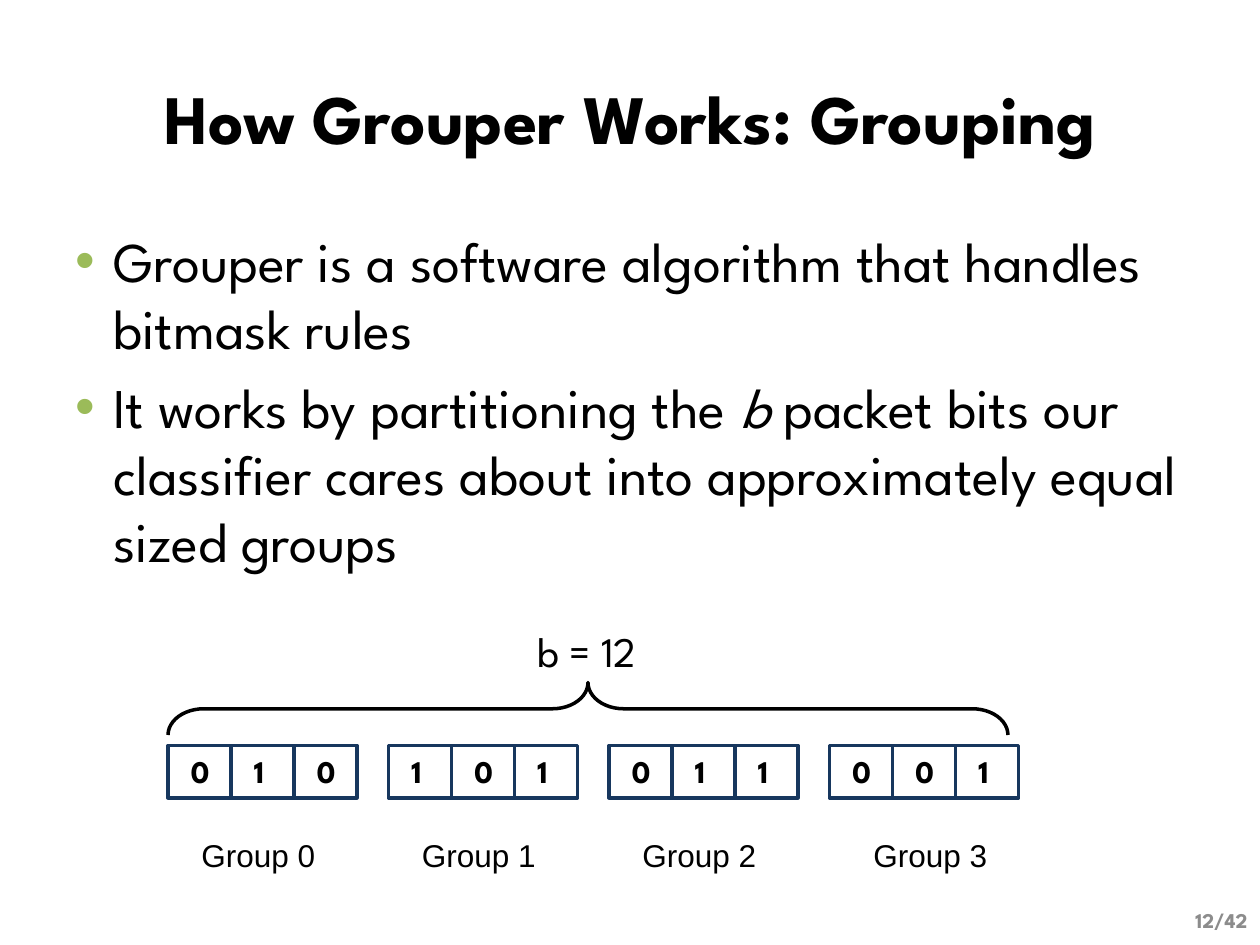
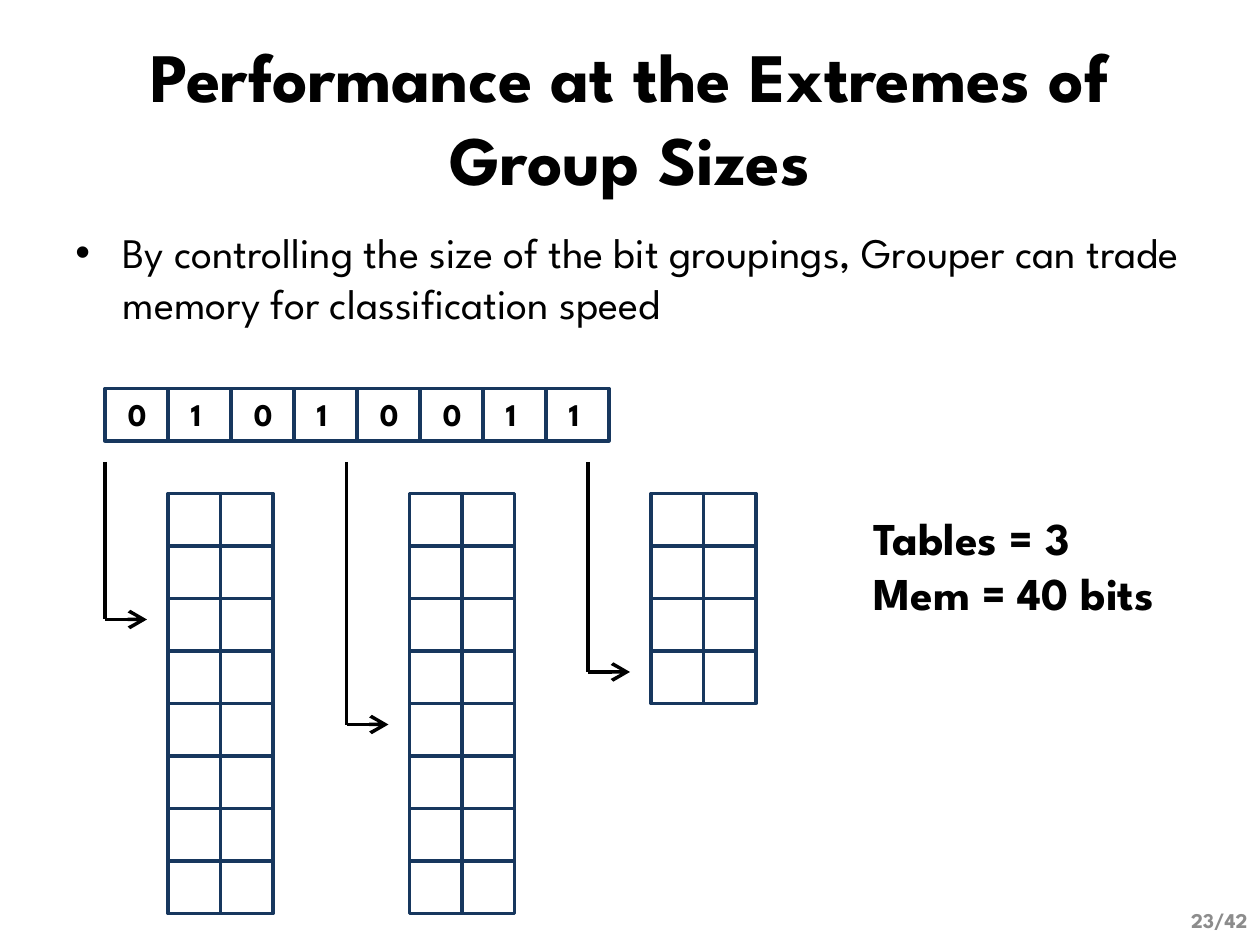
"""Build two slides on how Grouper splits packet bits into groups."""
from typing import NamedTuple

from lxml import etree
from pptx import Presentation
from pptx.dml.color import RGBColor
from pptx.enum.shapes import MSO_CONNECTOR, MSO_SHAPE
from pptx.enum.text import MSO_ANCHOR, MSO_AUTO_SIZE, PP_ALIGN
from pptx.oxml.ns import qn
from pptx.util import Pt

RECTANGLE = MSO_SHAPE.RECTANGLE
BRACE = MSO_SHAPE.RIGHT_BRACE
STRAIGHT = MSO_CONNECTOR.STRAIGHT
TOP, MIDDLE = MSO_ANCHOR.TOP, MSO_ANCHOR.MIDDLE
LEFT, CENTER, RIGHT = PP_ALIGN.LEFT, PP_ALIGN.CENTER, PP_ALIGN.RIGHT
NO_AUTOFIT = MSO_AUTO_SIZE.NONE

COLORS = {
    "text": "000000",
    "paper": "FFFFFF",
    "cell_border": "17375E",
    "bullet": "9BBB59",
    "page_number": "8C8C8C",
}
MAIN_FONT = "League Spartan"
LABEL_FONT = "Arial"
LINE_WIDTH = 2
BIT_WIDTH = 36
CELL_SIZE = 30


class Box(NamedTuple):
    left: float
    top: float
    width: float
    height: float

    def lengths(self) -> list:
        return [Pt(value) for value in self]


class Style(NamedTuple):
    size: float
    bold: bool = False
    color: str = "text"
    font: str = MAIN_FONT
    align: PP_ALIGN = LEFT


class Bullets(NamedTuple):
    size: float
    indent: float
    color: str


class Lookup(NamedTuple):
    rows: int
    arrow_top: float


TITLE_BOX = Box(36, 21.6, 648, 90)
PAGE_BOX = Box(552, 511, 168, 29)
TITLE_STYLE = Style(39.6, bold=True, align=CENTER)
PAGE_STYLE = Style(12, bold=True, color="page_number", align=RIGHT)
BIT_STYLE = Style(18, bold=True)
LABEL_STYLE = Style(18, font=LABEL_FONT)


def rgb(name: str) -> RGBColor:
    return RGBColor.from_string(COLORS[name])


def format_paragraph(paragraph, style: Style) -> None:
    paragraph.alignment = style.align
    font = paragraph.font
    font.name = style.font
    font.size = Pt(style.size)
    font.bold = style.bold
    font.color.rgb = rgb(style.color)


def add_text(slide, box: Box, lines: list[str], style: Style,
             anchor=TOP, wrap: bool = True) -> None:
    frame = slide.shapes.add_textbox(*box.lengths()).text_frame
    frame.word_wrap = wrap
    frame.vertical_anchor = anchor
    frame.text = "\n".join(lines)
    for paragraph in frame.paragraphs:
        format_paragraph(paragraph, style)


def add_bullets(slide, box: Box, items: list[list[str]], bullets: Bullets) -> None:
    """Add bulleted items, each a list of runs whose odd members are italic."""
    frame = slide.shapes.add_textbox(*box.lengths()).text_frame
    frame.word_wrap = True
    for index, item in enumerate(items):
        paragraph = frame.add_paragraph() if index else frame.paragraphs[0]
        for position, text in enumerate(item):
            run = paragraph.add_run()
            run.text = text
            if position % 2:
                run.font.italic = True
        properties = paragraph._p.get_or_add_pPr()
        properties.set("marL", str(Pt(bullets.indent)))
        properties.set("indent", str(-Pt(bullets.indent)))
        color = etree.SubElement(properties, qn("a:buClr"))
        etree.SubElement(color, qn("a:srgbClr"), val=COLORS[bullets.color])
        etree.SubElement(properties, qn("a:buFont"), typeface=LABEL_FONT)
        etree.SubElement(properties, qn("a:buChar"), char="•")
        paragraph.space_before = Pt(bullets.size * 0.2)
        format_paragraph(paragraph, Style(bullets.size))


def add_cell(slide, box: Box) -> None:
    shape = slide.shapes.add_shape(RECTANGLE, *box.lengths())
    shape.shadow.inherit = False
    shape.fill.solid()
    shape.fill.fore_color.rgb = rgb("paper")
    shape.line.color.rgb = rgb("cell_border")
    shape.line.width = Pt(LINE_WIDTH)


def add_bits(slide, left: float, top: float, bits: str) -> None:
    for index, bit in enumerate(bits):
        add_text(slide, Box(left + index * BIT_WIDTH + 6, top, 27, 29), [bit],
                 BIT_STYLE, wrap=False)


def add_bit_group(slide, left: float, top: float, bits: str) -> None:
    """Draw three bits as one frame whose middle cell divides it."""
    add_cell(slide, Box(left, top, len(bits) * BIT_WIDTH, CELL_SIZE))
    add_cell(slide, Box(left + BIT_WIDTH, top, BIT_WIDTH, CELL_SIZE))
    add_bits(slide, left, top, bits)


def add_grid(slide, left: float, top: float, rows: int, columns: int,
             cell_width: float = CELL_SIZE) -> None:
    for row in range(rows):
        for column in range(columns):
            add_cell(slide, Box(left + column * cell_width, top + row * CELL_SIZE,
                                cell_width, CELL_SIZE))


def add_line(slide, start: tuple, end: tuple, arrow: bool = False) -> None:
    points = [Pt(value) for value in (*start, *end)]
    connector = slide.shapes.add_connector(STRAIGHT, *points)
    connector.line.color.rgb = rgb("text")
    connector.line.width = Pt(LINE_WIDTH)
    properties = connector._element.spPr
    if arrow:
        etree.SubElement(properties.get_or_add_ln(), qn("a:tailEnd"),
                         type="arrow", w="lg", len="lg")
    etree.SubElement(properties, qn("a:effectLst"))


def add_brace(slide, box: Box) -> None:
    """Draw an upward brace that fills the given box."""
    shift = (box.width - box.height) / 2
    upright = Box(box.left + shift, box.top - shift, box.height, box.width)
    brace = slide.shapes.add_shape(BRACE, *upright.lengths())
    brace.rotation = 270
    brace.adjustments[0] = 0.68
    brace.shadow.inherit = False
    brace.fill.background()
    brace.line.color.rgb = rgb("text")
    brace.line.width = Pt(LINE_WIDTH)


def start_slide(presentation, title: str, page: str):
    slide = presentation.slides.add_slide(presentation.slide_layouts[5])
    shape = slide.shapes.title
    shape.left, shape.top, shape.width, shape.height = TITLE_BOX.lengths()
    frame = shape.text_frame
    frame.text = title
    frame.word_wrap = True
    frame.auto_size = NO_AUTOFIT
    frame.vertical_anchor = MIDDLE
    format_paragraph(frame.paragraphs[0], TITLE_STYLE)
    add_text(slide, PAGE_BOX, [page], PAGE_STYLE, anchor=MIDDLE)
    return slide


def build_grouping_slide(presentation) -> None:
    slide = start_slide(presentation, "How Grouper Works: Grouping", "12/42")
    add_bullets(slide, Box(36, 126, 648, 210), [
        ["Grouper is a software algorithm that handles bitmask rules"],
        ["It works by partitioning the ", "b ",
         "packet bits our classifier cares about into approximately equal sized groups"],
    ], Bullets(32, 21.6, "bullet"))
    add_text(slide, Box(300, 354, 102, 36), ["b = 12"], Style(24))
    add_brace(slide, Box(96, 390, 480, 30))
    label_lefts = (108, 234, 360, 492)
    for index, bits in enumerate(("010", "101", "011", "001")):
        add_bit_group(slide, 96 + index * 126, 426, bits)
        add_text(slide, Box(label_lefts[index], 474, 80, 29), [f"Group {index}"],
                 LABEL_STYLE, wrap=False)


def build_performance_slide(presentation) -> None:
    slide = start_slide(presentation, "Performance at the Extremes of Group Sizes", "23/42")
    add_bullets(slide, Box(36, 126, 648, 90), [
        ["By controlling the size of the bit groupings, Grouper can trade "
         "memory for classification speed"],
    ], Bullets(24, 27, "text"))
    bits = "01010011"
    add_grid(slide, 60, 222, 1, len(bits), BIT_WIDTH)
    add_bits(slide, 60, 222, bits)
    lookups = (Lookup(8, 354), Lookup(8, 414), Lookup(4, 384))
    for index, lookup in enumerate(lookups):
        left = 60 + index * 138
        corner = (left, lookup.arrow_top)
        add_grid(slide, left + 36, 282, lookup.rows, 2)
        add_line(slide, (left, 264), corner)
        add_line(slide, corner, (left + 24, lookup.arrow_top), arrow=True)
    add_text(slide, Box(492, 288, 216, 70), ["Tables = 3", "Mem = 40 bits"],
             Style(26, bold=True))


def main() -> None:
    presentation = Presentation()
    presentation.slide_width, presentation.slide_height = Pt(720), Pt(540)
    build_grouping_slide(presentation)
    build_performance_slide(presentation)
    presentation.save("out.pptx")


if __name__ == "__main__":
    main()
